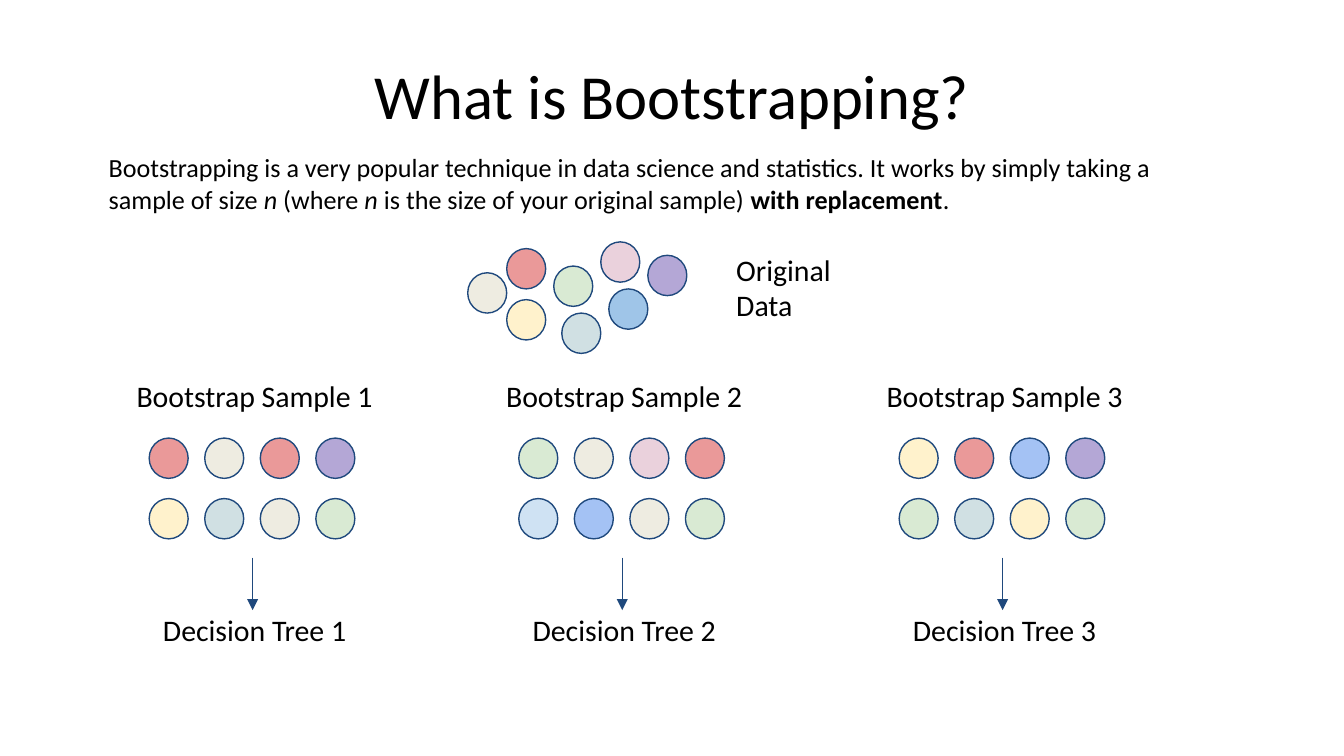
from lxml import etree
from pptx import Presentation
from pptx.dml.color import RGBColor as RGB
from pptx.enum.shapes import MSO_CONNECTOR as CONN, MSO_SHAPE as SHAPE
from pptx.enum.text import MSO_ANCHOR as ANCHOR, PP_ALIGN as ALIGN
from pptx.oxml.ns import qn
from pptx.util import Inches, Pt

COLORS = {
    "text": "000000", "line": "1F497D", "beige": "EEECE1", "red": "EA9999",
    "yellow": "FFF2CC", "green": "D9EAD3", "pink": "EAD1DC", "teal": "D0E0E3",
    "sky": "9FC5E8", "purple": "B4A7D6", "pale": "CFE2F3", "blue": "A4C2F4",
}

ORIGINAL = [
    (3.48, 2.03, "beige"), (3.77, 1.85, "red"), (3.77, 2.23, "yellow"),
    (4.12, 1.98, "green"), (4.47, 1.8, "pink"), (4.18, 2.33, "teal"),
    (4.53, 2.15, "sky"), (4.82, 1.9, "purple"),
]

SAMPLES = [
    (1.11, ["red beige red purple", "yellow teal beige green"]),
    (3.86, ["green beige pink red", "pale blue beige green"]),
    (6.69, ["yellow red blue purple", "green teal yellow green"]),
]

INTRO = [
    ("Bootstrapping is a very popular technique in data science and statistics. "
     "It works by simply taking a sample of size ", ""),
    ("n ", "i"), ("(where ", ""), ("n ", "i"),
    ("is the size of your original sample) ", ""),
    ("with replacement", "b"), (".", ""),
]


def rgb(name):
    return RGB.from_string(COLORS[name])


def write_text(tf, text, size=16, align=ALIGN.LEFT, font="Calibri", color="text"):
    runs = [(text, "")] if isinstance(text, str) else text
    p = tf.paragraphs[0]
    p.alignment = align
    for part, style in runs:
        r = p.add_run()
        r.text = part
        r.font.name = font
        r.font.size = Pt(size)
        r.font.bold = style == "b"
        r.font.italic = style == "i"
        r.font.color.rgb = rgb(color)


class Deck:
    dot_w, dot_h = 0.29, 0.3
    step_x, step_y = 1.24 / 3, 0.45
    line_width = Pt(0.75)

    def __init__(self, slide):
        self.s = slide

    def text(self, x, y, w, h, text, inset=0.1, anchor=ANCHOR.TOP, **style):
        sp = self.s.shapes.add_textbox(Inches(x), Inches(y), Inches(w), Inches(h))
        tf = sp.text_frame
        tf.word_wrap = True
        tf.vertical_anchor = anchor
        tf.margin_left = tf.margin_right = Inches(0.1)
        tf.margin_top = tf.margin_bottom = Inches(inset)
        write_text(tf, text, **style)

    def outline(self, line):
        line.color.rgb = rgb("line")
        line.width = self.line_width

    def dot(self, x, y, color):
        sp = self.s.shapes.add_shape(
            SHAPE.OVAL, Inches(x), Inches(y), Inches(self.dot_w), Inches(self.dot_h))
        sp.shadow.inherit = False
        sp.fill.solid()
        sp.fill.fore_color.rgb = rgb(color)
        self.outline(sp.line)

    def arrow_down(self, x, top, bottom):
        c = self.s.shapes.add_connector(
            CONN.STRAIGHT, Inches(x), Inches(top), Inches(x), Inches(bottom))
        self.outline(c.line)
        spPr = c._element.spPr
        etree.SubElement(spPr.find(qn("a:ln")), qn("a:tailEnd"), type="triangle")
        etree.SubElement(spPr, qn("a:effectLst"))

    def sample(self, number, x, rows):
        for i, row in enumerate(rows):
            for j, color in enumerate(row.split()):
                self.dot(x + self.step_x * j, 3.26 + self.step_y * i, color)
        self.text(x - 0.2, 2.71, 1.97, 0.47, f"Bootstrap Sample {number}",
                  align=ALIGN.CENTER)
        self.arrow_down(x + 0.77, 4.15, 4.54)
        self.text(x - 0.08, 4.45, 1.73, 0.47, f"Decision Tree {number}",
                  align=ALIGN.CENTER)


def main():
    prs = Presentation()
    prs.slide_width = Inches(10)
    prs.slide_height = Inches(10 * 9 / 16)
    deck = Deck(prs.slides.add_slide(prs.slide_layouts[6]))
    deck.text(0.5, 0.23, 9, 0.94, "What is Bootstrapping?", inset=0.05,
              anchor=ANCHOR.MIDDLE, size=33.6, align=ALIGN.CENTER)
    deck.text(0.71, 1.03, 8.5, 0.67, INTRO, size=14)
    for x, y, color in ORIGINAL:
        deck.dot(x, y, color)
    deck.text(5.38, 1.77, 1.34, 0.74, "Original Data")
    for number, (x, rows) in enumerate(SAMPLES, 1):
        deck.sample(number, x, rows)
    prs.save("out.pptx")


if __name__ == "__main__":
    main()
